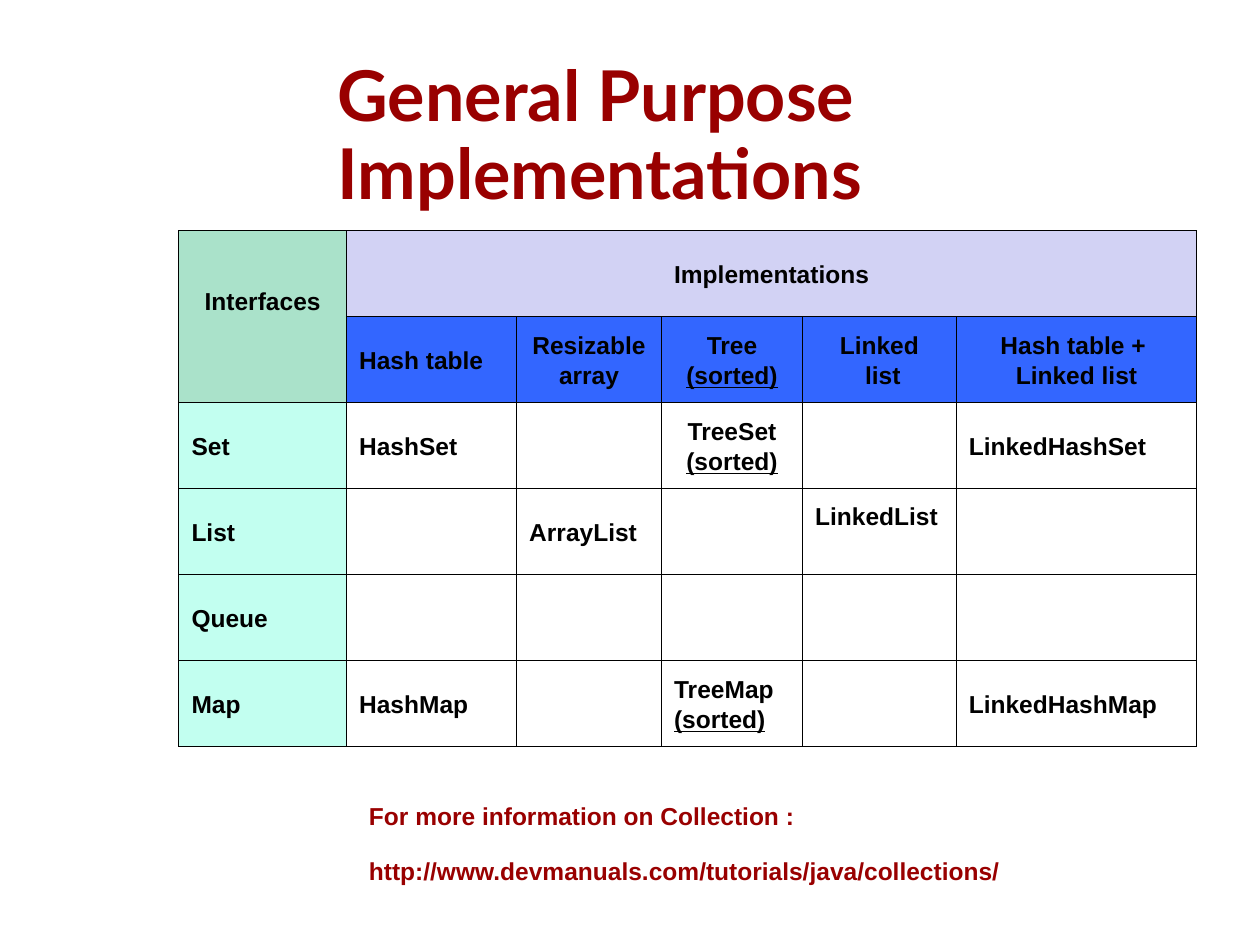
from lxml import etree
from pptx import Presentation
from pptx.dml.color import RGBColor
from pptx.enum.text import MSO_ANCHOR, MSO_AUTO_SIZE, PP_ALIGN
from pptx.oxml.ns import qn
from pptx.util import Inches, Pt

CENTER, LEFT = PP_ALIGN.CENTER, PP_ALIGN.LEFT
MIDDLE, TOP = MSO_ANCHOR.MIDDLE, MSO_ANCHOR.TOP
NO_AUTOFIT = MSO_AUTO_SIZE.NONE

COLORS = {
    "text": "000000",
    "accent": "990000",
    "corner": "AAE2CA",
    "group": "D2D2F4",
    "header": "3366FF",
    "interface": "C2FFF0",
}
TITLE = "General Purpose Implementations"
ROWS = [
    ["Interfaces", "Implementations", "", "", "", ""],
    ["", "Hash table", "Resizable\narray", "Tree\n(sorted)", "Linked\n list", "Hash table + \nLinked list"],
    ["Set", "HashSet", "", "TreeSet\n(sorted)", "", "LinkedHashSet"],
    ["List", "", "ArrayList", "", "LinkedList", ""],
    ["Queue", "", "", "", "", ""],
    ["Map", "HashMap", "", "TreeMap\n(sorted)", "", "LinkedHashMap"],
]
COLUMN_WIDTHS = [1.33, 1.35, 1.15, 1.12, 1.22, 1.91]
ROW_HEIGHT = 0.683
CENTERED = {"Interfaces", "Implementations", "TreeSet\n(sorted)", *ROWS[1][2:]}
RAISED = {"Interfaces", "LinkedList"}
FOOTER = [
    "For more information on Collection :",
    "http://www.devmanuals.com/tutorials/java/collections/",
]


def style_font(font, name, size, color):
    font.name = name
    font.size = Pt(size)
    font.bold = True
    font.color.rgb = RGBColor.from_string(COLORS[color])


def style_box(box, position):
    box.left, box.top, box.width, box.height = map(Inches, position)
    frame = box.text_frame
    frame.word_wrap = True
    frame.auto_size = NO_AUTOFIT
    frame.vertical_anchor = TOP
    return frame


def cell_color(row, column):
    if row == 0:
        return "group" if column else "corner"
    if column == 0:
        return "interface" if row > 1 else "corner"
    return "header" if row == 1 else None


def add_borders(cell):
    properties = cell._tc.get_or_add_tcPr()
    for index, side in enumerate(("lnL", "lnR", "lnT", "lnB")):
        line = etree.Element(qn(f"a:{side}"), w=str(Pt(0.75)))
        fill = etree.SubElement(line, qn("a:solidFill"))
        etree.SubElement(fill, qn("a:srgbClr"), val=COLORS["text"])
        properties.insert(index, line)


def format_cell(cell, text, color):
    cell.vertical_anchor = MIDDLE
    if color:
        cell.fill.solid()
        cell.fill.fore_color.rgb = RGBColor.from_string(COLORS[color])
    else:
        cell.fill.background()
    add_borders(cell)
    if not text:
        return
    if text in RAISED:
        cell.margin_bottom = Inches(0.3)
    cell.text_frame.text = text
    for para in cell.text_frame.paragraphs:
        para.alignment = CENTER if text in CENTERED else LEFT
        para.line_spacing = 1.1
        indents = para._p.get_or_add_pPr()
        indents.set("marL", str(Inches(0.38)))
        indents.set("indent", str(-Inches(0.38)))
        for span in para.runs:
            style_font(span.font, "Arial", 14, "text")
            span.font.underline = span.text == "(sorted)"


def add_title(page):
    title = page.shapes.title
    frame = style_box(title, (2.58, 0.42, 5.59, 1.34))
    frame.text = TITLE
    para = frame.paragraphs[0]
    para.alignment = LEFT
    para.line_spacing = 0.93
    style_font(para.runs[0].font, "Lato", 40, "accent")


def add_collections_table(page):
    frame = page.shapes.add_table(
        len(ROWS), len(COLUMN_WIDTHS), Inches(1.42), Inches(1.83),
        Inches(sum(COLUMN_WIDTHS)), Inches(ROW_HEIGHT * len(ROWS)),
    )
    table = frame.table
    table.first_row = table.horz_banding = False
    for column, width in zip(table.columns, COLUMN_WIDTHS):
        column.width = Inches(width)
    for row in table.rows:
        row.height = Inches(ROW_HEIGHT)
    table.cell(0, 0).merge(table.cell(1, 0))
    table.cell(0, 1).merge(table.cell(0, 5))
    for row, texts in enumerate(ROWS):
        for column, text in enumerate(texts):
            format_cell(table.cell(row, column), text, cell_color(row, column))


def add_footer(page):
    box = page.shapes.add_textbox(0, 0, 0, 0)
    frame = style_box(box, (2.83, 6.33, 5.25, 0.76))
    frame.text = "\n".join(FOOTER)
    for index, para in enumerate(frame.paragraphs):
        para.line_spacing = 0.93
        if index:
            para.space_before = Pt(15.5)
        style_font(para.runs[0].font, "Arial", 14, "accent")


def main():
    deck = Presentation()
    deck.slide_width, deck.slide_height = Inches(10), Inches(7.5)
    page = deck.slides.add_slide(deck.slide_layouts[5])
    add_title(page)
    add_collections_table(page)
    add_footer(page)
    deck.save("out.pptx")


if __name__ == "__main__":
    main()
